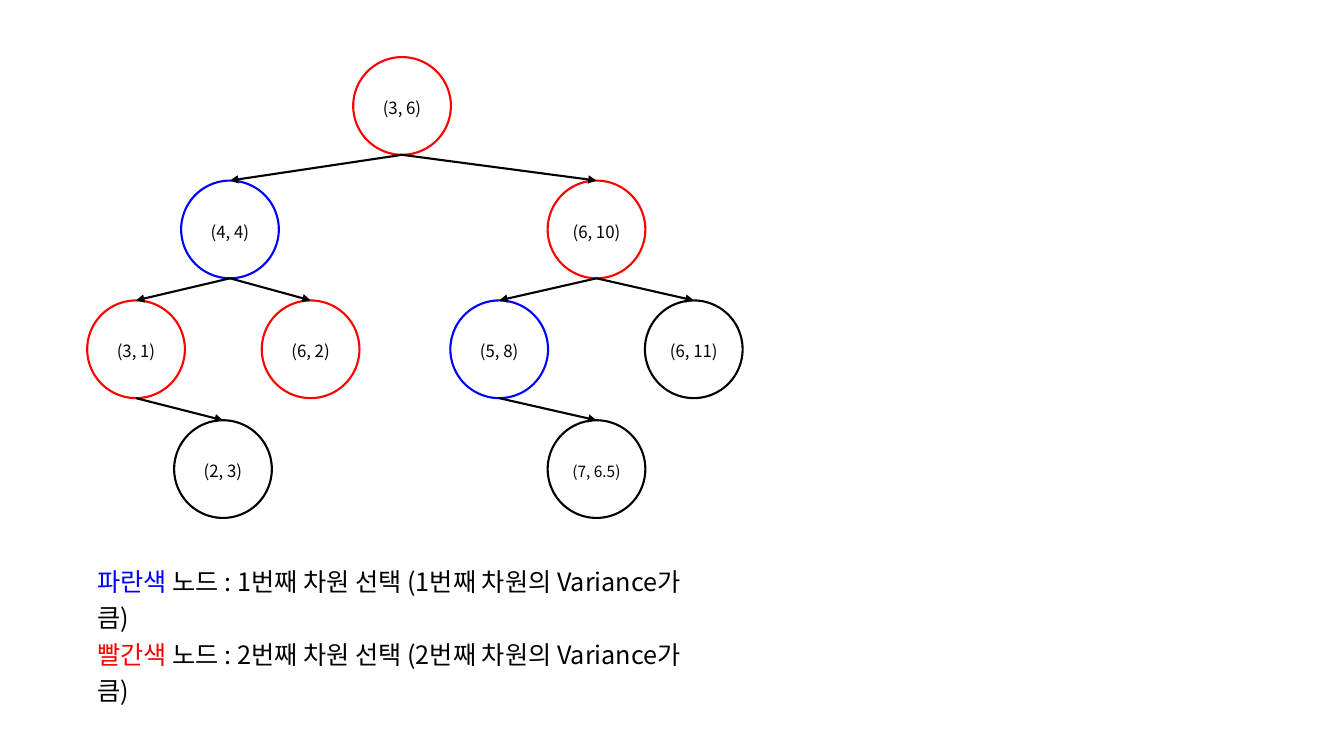
from lxml.etree import SubElement
from pptx import Presentation
from pptx.dml.color import RGBColor
from pptx.enum.shapes import MSO_CONNECTOR, MSO_SHAPE
from pptx.enum.text import MSO_ANCHOR, PP_ALIGN
from pptx.oxml.ns import qn
from pptx.util import Pt

FONT = "Noto Sans CJK KR"
COLORS = {"red": "FF0000", "blue": "0000FF", "black": "000000", "white": "FFFFFF"}
DIAMETER = 69.8
LINE_WIDTH = 1.5
LEVEL_TOPS = [40.8, 129, 214.6, 300.2]

# label: (level, centre x, outline colour, parent label, text size)
NODES = {
    "(3, 6)": (0, 287.2, "red", None, 12),
    "(4, 4)": (1, 164.3, "blue", "(3, 6)", 12),
    "(6, 10)": (1, 426.1, "red", "(3, 6)", 12),
    "(3, 1)": (2, 97.2, "red", "(4, 4)", 12),
    "(6, 2)": (2, 221.9, "red", "(4, 4)", 12),
    "(5, 8)": (2, 356.6, "blue", "(6, 10)", 12),
    "(6, 11)": (2, 495.6, "black", "(6, 10)", 12),
    "(2, 3)": (3, 159.3, "black", "(3, 1)", 12),
    "(7, 6.5)": (3, 426.1, "black", "(5, 8)", 11),
}
LEGEND = [
    ("파란색", "blue", " 노드 : 1번째 차원 선택 (1번째 차원의 Variance가 큼)"),
    ("빨간색", "red", " 노드 : 2번째 차원 선택 (2번째 차원의 Variance가 큼)"),
]


def color(name):
    return RGBColor.from_string(COLORS[name])


def style_paragraph(para, size):
    para.line_spacing = 1.2
    para.font.name = FONT
    para.font.size = Pt(size)
    para.font.color.rgb = color("black")
    # Korean glyphs take the East Asian typeface
    SubElement(para.font._element, qn("a:ea"), typeface=FONT)


def add_node(page, label):
    level, center, outline, _, size = NODES[label]
    node = page.shapes.add_shape(
        MSO_SHAPE.OVAL, Pt(center - DIAMETER / 2), Pt(LEVEL_TOPS[level]),
        Pt(DIAMETER), Pt(DIAMETER))
    node.shadow.inherit = False
    node.fill.solid()
    node.fill.fore_color.rgb = color("white")
    node.line.color.rgb = color(outline)
    node.line.width = Pt(LINE_WIDTH)
    frame = node.text_frame
    frame.margin_left = frame.margin_right = 0
    frame.vertical_anchor = MSO_ANCHOR.MIDDLE
    para = frame.paragraphs[0]
    para.text = label
    para.alignment = PP_ALIGN.CENTER
    style_paragraph(para, size)
    return node


def add_arrow(page, parent, child):
    """Join the bottom of the parent circle to the top of the child."""
    arrow = page.shapes.add_connector(MSO_CONNECTOR.STRAIGHT, 0, 0, 0, 0)
    arrow.begin_x, arrow.begin_y = parent.left + parent.width // 2, parent.top + parent.height
    arrow.end_x, arrow.end_y = child.left + child.width // 2, child.top
    arrow.line.color.rgb = color("black")
    arrow.line.width = Pt(LINE_WIDTH)
    SubElement(arrow.line._get_or_add_ln(), qn("a:tailEnd"), type="triangle")
    SubElement(arrow._element.spPr, qn("a:effectLst"))


def add_legend(page):
    box = page.shapes.add_textbox(Pt(62.6), Pt(396.7), Pt(455.8), Pt(58.3))
    frame = box.text_frame
    frame.word_wrap = True
    for index, (name, tint, meaning) in enumerate(LEGEND):
        para = frame.add_paragraph() if index else frame.paragraphs[0]
        style_paragraph(para, 18)
        span = para.add_run()
        span.text = name
        span.font.color.rgb = color(tint)
        para.add_run().text = meaning


def main():
    deck = Presentation()
    deck.slide_width, deck.slide_height = Pt(960), Pt(540)
    page = deck.slides.add_slide(deck.slide_layouts[6])
    circles = {label: add_node(page, label) for label in NODES}
    for label, (_, _, _, parent, _) in NODES.items():
        if parent:
            add_arrow(page, circles[parent], circles[label])
    add_legend(page)
    deck.save("out.pptx")


if __name__ == "__main__":
    main()
